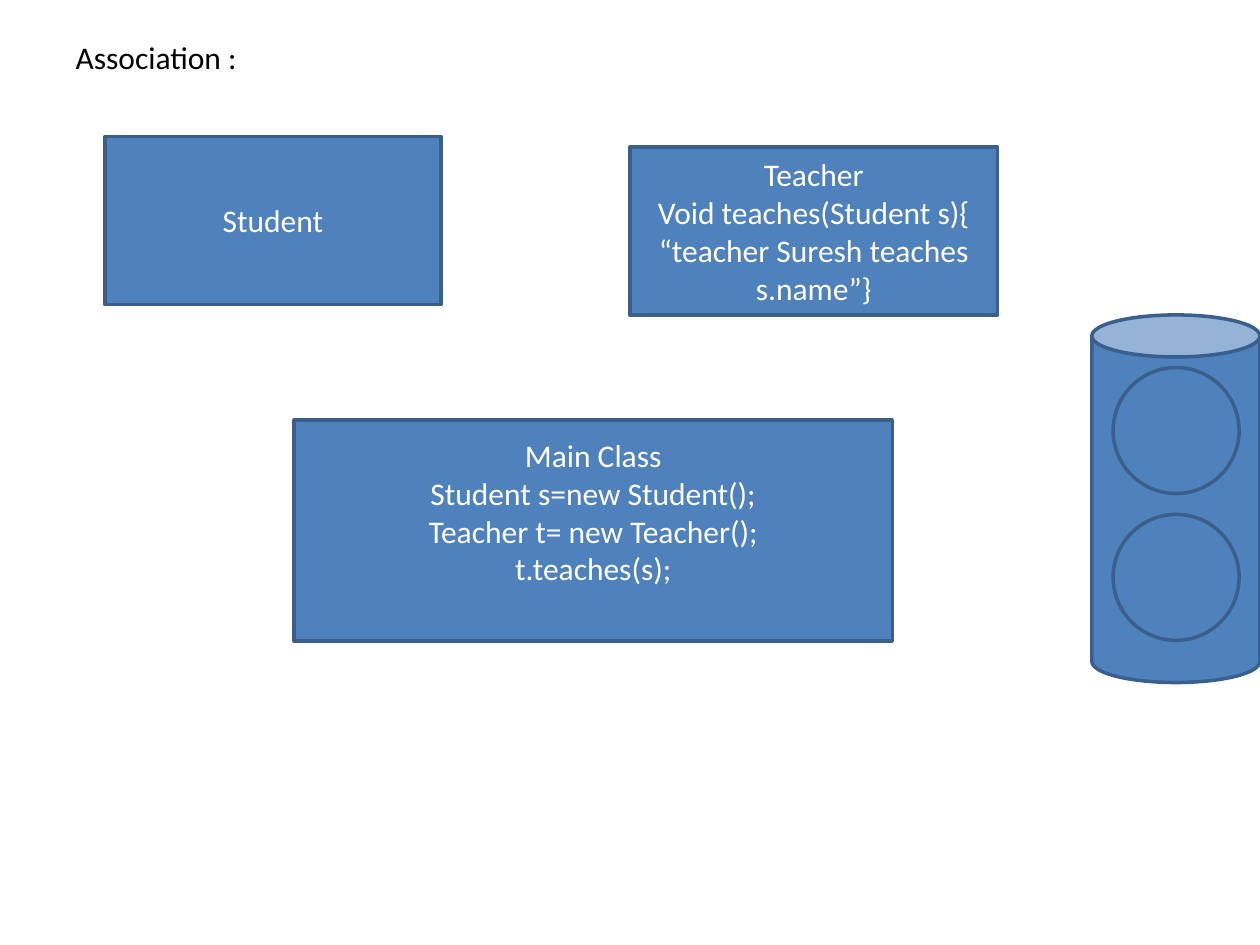
"""Build a slide explaining association between a student and a teacher class."""
from dataclasses import dataclass

from pptx import Presentation
from pptx.dml.color import RGBColor
from pptx.enum import shapes, text
from pptx.util import Cm, Pt


@dataclass(frozen=True)
class Theme:
    font: str = "Calibri"
    size: Pt = Pt(18)
    outline_width: Pt = Pt(2)
    fill: RGBColor = RGBColor(0x4F, 0x81, 0xBD)
    outline: RGBColor = RGBColor(0x3A, 0x5F, 0x8C)
    heading: RGBColor = RGBColor(0, 0, 0)
    label: RGBColor = RGBColor(0xFF, 0xFF, 0xFF)


theme = Theme()


def write(frame, lines, color, alignment):
    frame.word_wrap = True
    frame.text = "\n".join(lines)
    for paragraph in frame.paragraphs:
        paragraph.alignment = alignment
        paragraph.font.name = theme.font
        paragraph.font.size = theme.size
        paragraph.font.color.rgb = color


def add_figure(kind, left, top, width, height):
    figure = slide.shapes.add_shape(kind, Cm(left), Cm(top), Cm(width), Cm(height))
    figure.shadow.inherit = False
    figure.fill.solid()
    figure.fill.fore_color.rgb = theme.fill
    figure.line.color.rgb = theme.outline
    figure.line.width = theme.outline_width
    return figure


presentation = Presentation()
presentation.slide_width, presentation.slide_height = Cm(25.4), Cm(19.05)
slide = presentation.slides.add_slide(presentation.slide_layouts[5])

heading = slide.shapes.title
heading.left, heading.top = Cm(1.27), Cm(0.64)
heading.width, heading.height = Cm(6.35), Cm(1.06)
write(heading.text_frame, ["Association :"], theme.heading, text.PP_ALIGN.LEFT)
heading.text_frame.vertical_anchor = text.MSO_ANCHOR.TOP
heading.text_frame.auto_size = text.MSO_AUTO_SIZE.SHAPE_TO_FIT_TEXT

classes = [
    ((2.12, 2.75, 6.77, 3.39), 0.13, ["Student"]),
    ((12.7, 2.96, 7.41, 3.39), 0.13,
     ["Teacher", "Void teaches(Student s){", "“teacher Suresh teaches s.name”}"]),
    ((5.93, 8.47, 12.06, 4.45), 0.89,
     ["Main Class", "Student s=new Student();", "Teacher t= new Teacher();", "t.teaches(s);"]),
]
for bounds, bottom_margin, lines in classes:
    class_box = add_figure(shapes.MSO_SHAPE.RECTANGLE, *bounds)
    write(class_box.text_frame, lines, theme.label, text.PP_ALIGN.CENTER)
    class_box.text_frame.vertical_anchor = text.MSO_ANCHOR.MIDDLE
    class_box.text_frame.margin_bottom = Cm(bottom_margin)

add_figure(shapes.MSO_SHAPE.CAN, 22.01, 6.35, 3.39, 7.41)
for instance_top in (7.41, 10.37):
    add_figure(shapes.MSO_SHAPE.OVAL, 22.44, instance_top, 2.54, 2.54)

presentation.save("out.pptx")
